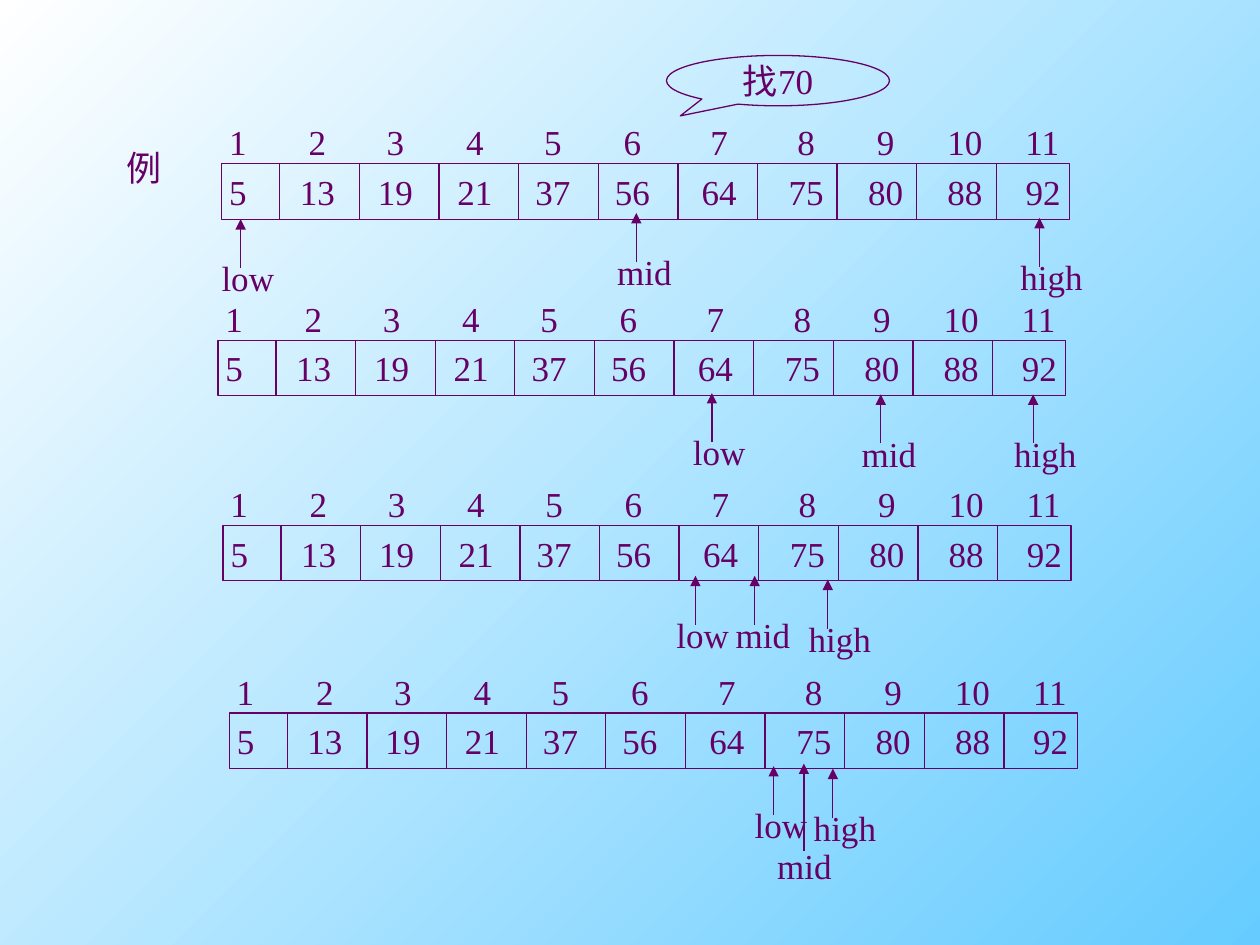
from dataclasses import dataclass
from typing import Sequence

from lxml.etree import SubElement
from pptx import Presentation
from pptx.dml.color import RGBColor
from pptx.enum.shapes import MSO_CONNECTOR, MSO_SHAPE
from pptx.enum.text import MSO_ANCHOR, MSO_AUTO_SIZE, PP_ALIGN
from pptx.oxml.ns import qn
from pptx.util import Inches, Pt

COLORS = {"ink": "660066", "sky": "66CCFF", "white": "FFFFFF"}
FONT = "Times New Roman"
INDEXES = [str(i) for i in range(1, 12)]
VALUES = ["5", "13", "19", "21", "37", "56", "64", "75", "80", "88", "92"]
INDEX_STOPS = [0.63, 1.25, 1.88, 2.5, 3.13, 3.82, 4.51, 5.14, 5.7, 6.32]
VALUE_STOPS = [0.56, 1.18, 1.81, 2.43, 3.06, 3.75, 4.44, 5.07, 5.7, 6.32]
ROW_W, ROW_H = 6.73, 0.44
FIRST_CELL, CELL = 0.46, 0.632
LABEL_W = {"low": 0.61, "mid": 0.63, "high": 0.69}


@dataclass
class Pointer:
    name: str
    x: float
    tip: float
    length: float = 0.39
    dx: float = -0.25
    dy: float = -0.14


@dataclass
class Step:
    left: float
    top: float
    pointers: Sequence[Pointer]


STEPS = [
    Step(1.76, 1.3, [Pointer("low", 1.91, 1.74), Pointer("high", 8.25, 1.73),
                     Pointer("mid", 5.05, 1.69)]),
    Step(1.73, 2.7, [Pointer("low", 5.65, 3.12), Pointer("high", 8.2, 3.13),
                     Pointer("mid", 6.99, 3.13)]),
    Step(1.77, 4.17, [Pointer("low", 5.52, 4.57), Pointer("high", 6.57, 4.6),
                      Pointer("mid", 5.99, 4.57)]),
    Step(1.82, 5.66, [Pointer("low", 6.14, 6.08), Pointer("high", 6.61, 6.1),
                      Pointer("mid", 6.38, 6.06, 0.69, -0.31, -0.1)]),
]


def rgb(name: str) -> RGBColor:
    return RGBColor.from_string(COLORS[name])


def write(tf, text: str, align=PP_ALIGN.LEFT, stops: Sequence[float] = ()) -> None:
    p = tf.paragraphs[0]
    p.alignment = align
    if stops:
        tabs = SubElement(p._p.get_or_add_pPr(), qn("a:tabLst"))
        for stop in stops:
            SubElement(tabs, qn("a:tab"), pos=str(Inches(stop)), algn="l")
    r = p.add_run()
    r.text = text
    r.font.size = Pt(20)
    r.font.name = FONT
    r.font.color.rgb = rgb("ink")


def add_label(shapes, text: str, x: float, y: float, w: float, stops: Sequence[float] = ()) -> None:
    sp = shapes.add_textbox(Inches(x), Inches(y), Inches(w), Inches(0.44))
    tf = sp.text_frame
    tf.word_wrap = True
    tf.auto_size = MSO_AUTO_SIZE.NONE
    tf.margin_right = 0
    write(tf, text, stops=stops)


def add_outline(shapes, kind: MSO_SHAPE, x: float, y: float, w: float, h: float):
    sp = shapes.add_shape(kind, Inches(x), Inches(y), Inches(w), Inches(h))
    sp.shadow.inherit = False
    sp.fill.background()
    sp.line.color.rgb = rgb("ink")
    sp.line.width = Pt(0.75)
    sp.text_frame.word_wrap = False
    sp.text_frame.vertical_anchor = MSO_ANCHOR.MIDDLE
    return sp


def add_line(shapes, x: float, y1: float, y2: float, arrow: bool = False) -> None:
    cn = shapes.add_connector(MSO_CONNECTOR.STRAIGHT, Inches(x), Inches(y1), Inches(x), Inches(y2))
    cn.line.color.rgb = rgb("ink")
    cn.line.width = Pt(0.75)
    if arrow:
        SubElement(cn.line._get_or_add_ln(), qn("a:tailEnd"), type="triangle")
    SubElement(cn._element.spPr, qn("a:effectLst"))


def add_step(shapes, step: Step) -> None:
    add_label(shapes, "\t".join(INDEXES), step.left - 0.04, step.top - 0.39, 6.81, INDEX_STOPS)
    sp = add_outline(shapes, MSO_SHAPE.RECTANGLE, step.left, step.top, ROW_W, ROW_H)
    tf = sp.text_frame
    tf.word_wrap = True
    tf.margin_left, tf.margin_right = Inches(0.06), 0
    write(tf, "\t".join(VALUES), stops=VALUE_STOPS)
    for i in range(len(VALUES) - 1):
        add_line(shapes, step.left + FIRST_CELL + i * CELL, step.top, step.top + ROW_H)
    for pt in step.pointers:
        foot = pt.tip + pt.length
        add_line(shapes, pt.x, foot, pt.tip, arrow=True)
        add_label(shapes, pt.name, pt.x + pt.dx, foot + pt.dy, LABEL_W[pt.name])


def main() -> None:
    """Build the binary search slide that looks for 70."""
    prs = Presentation()
    prs.slide_width, prs.slide_height = Inches(10), Inches(7.5)
    s = prs.slides.add_slide(prs.slide_layouts[6])
    fill = s.background.fill
    fill.gradient()
    fill.gradient_angle = 135
    for stop, name in zip(fill.gradient_stops, ("sky", "white")):
        stop.color.rgb = rgb(name)

    add_label(s.shapes, "例", 0.91, 1.11, 0.54)
    for step in STEPS:
        add_step(s.shapes.add_group_shape().shapes, step)
    sp = add_outline(s.shapes, MSO_SHAPE.OVAL_CALLOUT, 5.29, 0.44, 1.77, 0.4)
    sp.adjustments[0], sp.adjustments[1] = -0.438, 0.7
    write(sp.text_frame, "找70", PP_ALIGN.CENTER)
    prs.save("out.pptx")


if __name__ == "__main__":
    main()
